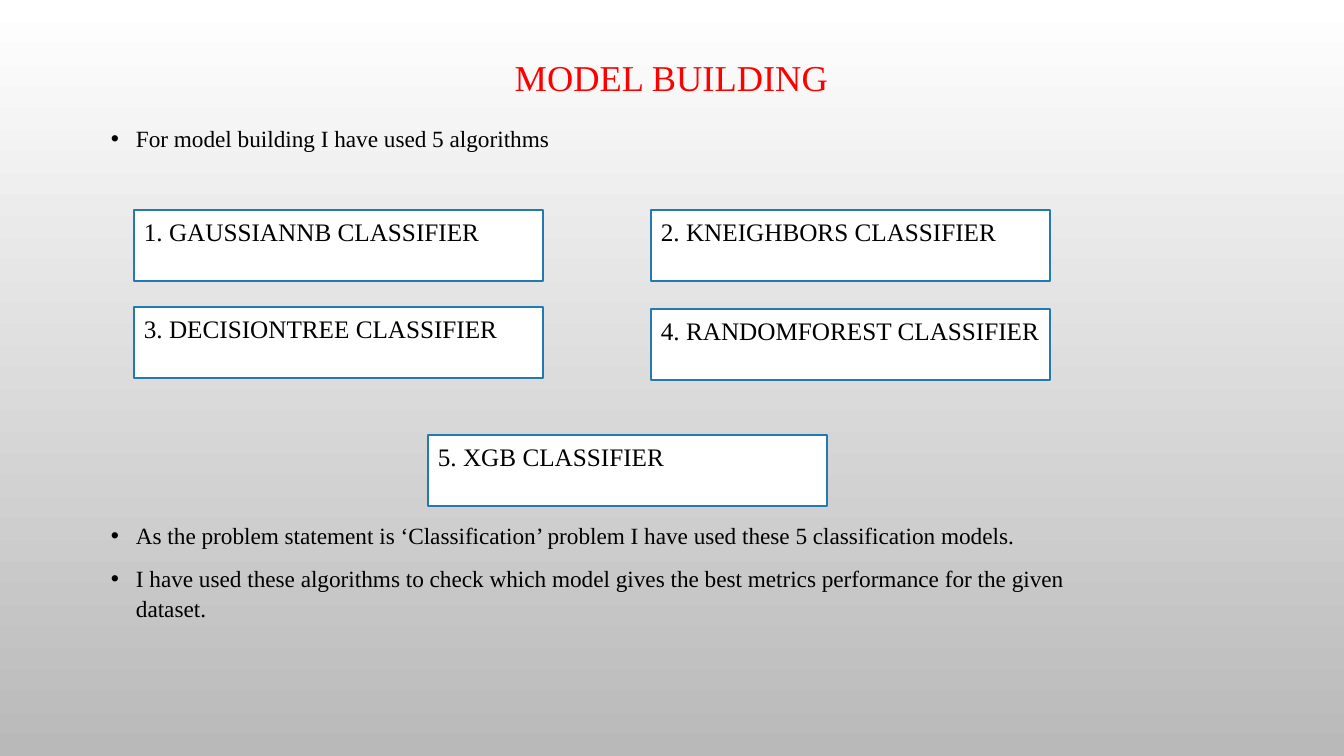
import pptx
import pptx.dml.color
import pptx.enum.shapes
import pptx.enum.text
import pptx.oxml
import pptx.oxml.ns
import pptx.util

EMU_PER_PX = 914400 / 100.8
FONT = "Times New Roman"
COLORS = {
    "title": "FF0000",
    "text": "000000",
    "box": "FFFFFF",
    "outline": "2379B0",
    "background_top": "FFFFFF",
    "background_bottom": "B9B9B9",
}
BOX_HEIGHT = 71
BULLET_INDENT = 25


def px(length):
    return pptx.util.Emu(round(length * EMU_PER_PX))


def color(name):
    return pptx.dml.color.RGBColor.from_string(COLORS[name])


def write(para, text, size, color_name):
    para.text = text
    for span in para.runs:
        span.font.name = FONT
        span.font.size = pptx.util.Pt(size)
        span.font.color.rgb = color(color_name)


def paint_background(page):
    fill = page.background.fill
    fill.gradient()
    fill.gradient_angle = 270
    names = ("background_top", "background_bottom")
    for position, (stop, name) in enumerate(zip(fill.gradient_stops, names)):
        stop.color.rgb = color(name)
        stop.position = position


def add_title(page, text, left, top, width, height):
    box = page.shapes.add_textbox(px(left), px(top), px(width), px(height))
    frame = box.text_frame
    frame.word_wrap = False
    frame.vertical_anchor = pptx.enum.text.MSO_ANCHOR.MIDDLE
    para = frame.paragraphs[0]
    write(para, text, 26, "title")
    para.alignment = pptx.enum.text.PP_ALIGN.CENTER
    para.line_spacing = 0.9


def add_bullets(page, lines, left, top, width, height):
    box = page.shapes.add_textbox(px(left), px(top), px(width), px(height))
    frame = box.text_frame
    frame.word_wrap = True
    frame.text = "\n".join(lines)
    for para, line in zip(frame.paragraphs, lines):
        write(para, line, 16.6, "text")
        para.space_before = pptx.util.Pt(10)
        para.line_spacing = 1.05
        # Hanging bullet
        properties = para._p.get_or_add_pPr()
        properties.set("marL", str(px(BULLET_INDENT)))
        properties.set("indent", str(-px(BULLET_INDENT)))
        namespace = pptx.oxml.ns.nsdecls("a")
        for xml in (
            f'<a:buFont {namespace} typeface="Arial"/>',
            f'<a:buChar {namespace} char="•"/>',
        ):
            properties.append(pptx.oxml.parse_xml(xml))


def add_classifier(page, text, left, top, width):
    box = page.shapes.add_shape(
        pptx.enum.shapes.MSO_SHAPE.RECTANGLE,
        px(left), px(top), px(width), px(BOX_HEIGHT),
    )
    box.shadow.inherit = False
    box.fill.solid()
    box.fill.fore_color.rgb = color("box")
    box.line.color.rgb = color("outline")
    box.line.width = pptx.util.Pt(1.25)
    frame = box.text_frame
    frame.word_wrap = True
    frame.vertical_anchor = pptx.enum.text.MSO_ANCHOR.TOP
    frame.margin_top = px(6)
    frame.margin_right = px(4)
    para = frame.paragraphs[0]
    write(para, text, 18, "text")
    para.alignment = pptx.enum.text.PP_ALIGN.LEFT


def main():
    deck = pptx.Presentation()
    deck.slide_width, deck.slide_height = px(1344), px(756)
    page = deck.slides.add_slide(deck.slide_layouts[6])
    paint_background(page)

    # Heading and introduction
    add_title(page, "MODEL BUILDING", 504, 42, 335, 75)
    add_bullets(page, ["For model building I have used 5 algorithms"],
                101, 118, 1012, 40)

    # Numbered algorithms
    classifiers = [
        ("GAUSSIANNB", 134, 210, 409),
        ("KNEIGHBORS", 651, 210, 399),
        ("DECISIONTREE", 134, 307, 409),
        ("RANDOMFOREST", 651, 309, 399),
        ("XGB", 428, 435, 399),
    ]
    for number, (name, left, top, width) in enumerate(classifiers, start=1):
        add_classifier(page, f"{number}. {name} CLASSIFIER", left, top, width)

    # Reasons for the choice
    add_bullets(page, [
        "As the problem statement is ‘Classification’ problem I have used "
        "these 5 classification models.",
        "I have used these algorithms to check which model gives the best "
        "metrics performance for the given dataset.",
    ], 101, 515, 1012, 149)

    deck.save("out.pptx")


if __name__ == "__main__":
    main()
